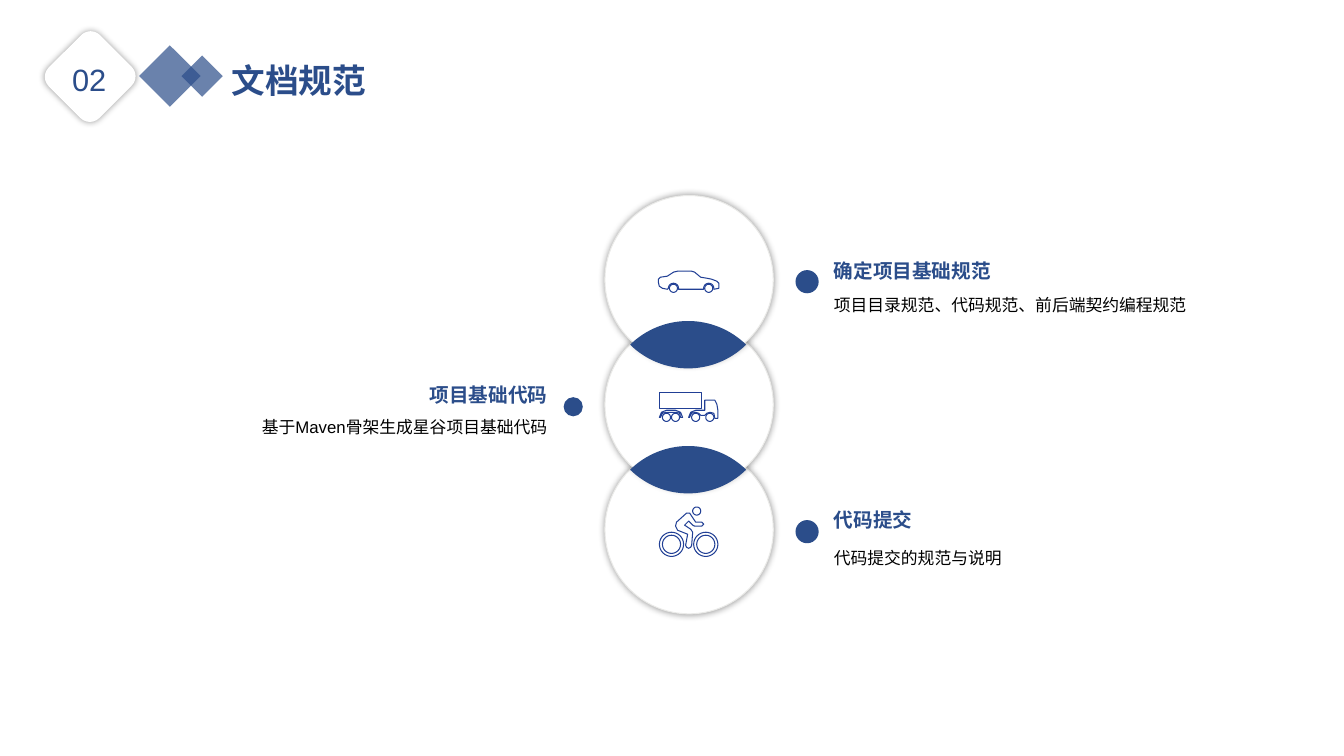
from math import asin, cos, degrees, radians, sin

from lxml import etree
from pptx import Presentation
from pptx.dml.color import RGBColor
from pptx.enum.shapes import MSO_SHAPE
from pptx.enum.text import MSO_AUTO_SIZE, PP_ALIGN
from pptx.oxml.ns import qn
from pptx.util import Inches, Pt

OVAL, DIAMOND, ROUNDED = MSO_SHAPE.OVAL, MSO_SHAPE.DIAMOND, MSO_SHAPE.ROUNDED_RECTANGLE
LEFT, CENTER, RIGHT = PP_ALIGN.LEFT, PP_ALIGN.CENTER, PP_ALIGN.RIGHT
FIT = MSO_AUTO_SIZE.SHAPE_TO_FIT_TEXT
COLORS = {"white": "FFFFFF", "navy": "2B4D8A", "icon": "213F95",
          "rim": "EAEAE8", "black": "000000"}


def arc(cx, cy, radius, start=0, sweep=360, steps=32):
    angles = [radians(start + sweep * i / steps) for i in range(steps + 1)]
    return [(cx + radius * cos(a), cy + radius * sin(a)) for a in angles]


def lens(cx, cy, half_width=0.575, half_height=0.235):
    radius = (half_width ** 2 + half_height ** 2) / (2 * half_height)
    half = degrees(asin(half_width / radius))
    offset = radius - half_height
    return (arc(cx, cy + offset, radius, 270 - half, 2 * half)
            + arc(cx, cy - offset, radius, 90 - half, 2 * half))


class Slide:
    font = "Arial"

    def __init__(self, prs):
        self.shapes = prs.slides.add_slide(prs.slide_layouts[6]).shapes

    def color(self, name):
        return RGBColor.from_string(COLORS[name])

    def paint(self, s, fill, line=None, width=0.75, alpha=None):
        s.shadow.inherit = False
        s.fill.solid()
        s.fill.fore_color.rgb = self.color(fill)
        if alpha:
            clr = s.fill._xPr.find(".//" + qn("a:srgbClr"))
            etree.SubElement(clr, qn("a:alpha"), val=str(alpha * 1000))
        if line:
            s.line.color.rgb = self.color(line)
            s.line.width = Pt(width)
        else:
            s.line.fill.background()
        return s

    def shape(self, kind, x, y, w, h, fill, **style):
        s = self.shapes.add_shape(kind, Inches(x), Inches(y), Inches(w), Inches(h))
        return self.paint(s, fill, **style)

    def glow(self, s):
        effects = s._element.spPr.find(qn("a:effectLst"))
        shadow = etree.SubElement(effects, qn("a:outerShdw"), blurRad=str(Pt(5)),
                                  dist="0", dir="0", algn="ctr", rotWithShape="0")
        clr = etree.SubElement(shadow, qn("a:srgbClr"), val=COLORS["black"])
        etree.SubElement(clr, qn("a:alpha"), val="40000")

    def outline(self, contours, fill, **style):
        contours = [[(Inches(x), Inches(y)) for x, y in c] for c in contours]
        builder = self.shapes.build_freeform(*contours[0][0])
        for i, points in enumerate(contours):
            if i:
                builder.move_to(*points[0])
            builder.add_line_segments(points[1:], close=True)
        return self.paint(builder.convert_to_shape(), fill, **style)

    def text(self, x, y, w, h, text, size, color="navy", bold=False,
             align=LEFT, inset=(0, 0)):
        tf = self.shapes.add_textbox(Inches(x), Inches(y), Inches(w), Inches(h)).text_frame
        tf.word_wrap = True
        tf.auto_size = FIT
        tf.margin_left = tf.margin_right = Inches(inset[0])
        tf.margin_top = tf.margin_bottom = Inches(inset[1])
        p = tf.paragraphs[0]
        p.text = text
        p.alignment = align
        p.line_spacing = 1.2
        p.space_before = Pt(size * 0.2)
        p.font.name = self.font
        p.font.size = Pt(size)
        p.font.bold = bold
        p.font.color.rgb = self.color(color)


CAR = [
    [(6.53, 2.8), (6.53, 2.77), (6.55, 2.75), (6.62, 2.74), (6.68, 2.7), (6.72, 2.69),
     (6.86, 2.69), (6.89, 2.7), (6.95, 2.75), (7.01, 2.76), (7.06, 2.77), (7.11, 2.79),
     (7.13, 2.81), (7.13, 2.86), (7.08, 2.87)]
    + arc(7.03, 2.86, 0.05, 0, -180) + [(6.98, 2.87), (6.73, 2.87)]
    + arc(6.68, 2.86, 0.05, 0, -180) + [(6.62, 2.87), (6.57, 2.86), (6.54, 2.84)],
    *[arc(x, 2.86, 0.04) for x in (6.68, 7.03)],
]
TRUCK = [
    [(6.54, 4.05), (6.54, 3.89), (6.96, 3.89), (6.96, 4.05)],
    [(6.54, 4.14), (6.56, 4.09), (6.61, 4.07), (6.7, 4.07), (6.75, 4.09), (6.77, 4.14),
     (6.75, 4.14), (6.74, 4.1), (6.7, 4.09), (6.61, 4.09), (6.57, 4.1), (6.55, 4.14)],
    [(6.83, 4.14), (6.85, 4.09), (6.9, 4.07), (6.99, 4.07), (6.99, 3.97), (7.09, 3.97),
     (7.11, 4.01), (7.12, 4.07), (7.12, 4.15), (7.09, 4.15), (7.08, 4.1), (7.04, 4.09),
     (7.01, 4.1), (6.99, 4.12), (6.95, 4.12), (6.93, 4.1), (6.9, 4.09), (6.86, 4.1),
     (6.84, 4.14)],
    *[arc(x, 4.14, 0.04) for x in (6.61, 6.7, 6.9, 7.04)],
]
CYCLIST = [
    *[arc(x, 5.4, r) for x in (6.66, 7) for r in (0.12, 0.09)],
    [(6.7, 5.22), (6.71, 5.18), (6.81, 5.09), (6.84, 5.09), (6.9, 5.18), (6.96, 5.18),
     (6.98, 5.2), (6.96, 5.22), (6.89, 5.22), (6.87, 5.21), (6.83, 5.17), (6.79, 5.21),
     (6.85, 5.25), (6.87, 5.28), (6.86, 5.41), (6.85, 5.43), (6.83, 5.44), (6.81, 5.43),
     (6.8, 5.41), (6.82, 5.3), (6.72, 5.26)],
    arc(6.91, 5.07, 0.04),
]
ICONS = [CAR, TRUCK, CYCLIST]
TOPICS = [
    ("确定项目基础规范", (8.27, 2.52, 1.96), "项目目录规范、代码规范、前后端契约编程规范",
     (8.27, 2.88, 4.3), LEFT, (7.89, 2.68, 0.23)),
    ("项目基础代码", (4.21, 3.75, 1.22), "基于Maven骨架生成星谷项目基础代码",
     (0.76, 4.09, 4.67), RIGHT, (5.59, 3.94, 0.19)),
    ("代码提交", (8.27, 4.99, 1.96), "代码提交的规范与说明",
     (8.27, 5.39, 4.3), LEFT, (7.89, 5.16, 0.23)),
]


def main():
    prs = Presentation()
    prs.slide_width, prs.slide_height = Inches(13.33), Inches(7.5)
    slide = Slide(prs)

    badge = slide.shape(ROUNDED, 0.56, 0.42, 0.67, 0.68, "white", line="white", width=2.75)
    badge.rotation = 45
    slide.glow(badge)
    slide.text(0.56, 0.53, 0.65, 0.44, "02", 22, align=CENTER)
    for x, y, size in [(1.38, 0.45, 0.61), (1.8, 0.55, 0.41)]:
        slide.shape(DIAMOND, x, y, size, size, "navy", alpha=70)
    slide.text(2.2, 0.47, 2.91, 0.57, "文档规范", 24, bold=True, inset=(0.1, 0.05))

    step = 1.24
    for i in reversed(range(len(ICONS))):
        slide.glow(slide.shape(OVAL, 6, 1.94 + step * i, 1.67, 1.67, "white", line="rim"))
        if i < len(ICONS) - 1:
            slide.outline([lens(6.825, 3.42 + step * i)], "navy")
        slide.outline(ICONS[i], "white", line="icon")

    for title, title_box, detail, detail_box, align, (x, y, size) in TOPICS:
        slide.text(*detail_box, 0.24, detail, 12, "black", align=align)
        slide.text(*title_box, 0.28, title, 14, bold=True, align=align)
        slide.shape(OVAL, x, y, size, size, "navy")

    prs.save("out.pptx")


if __name__ == "__main__":
    main()
